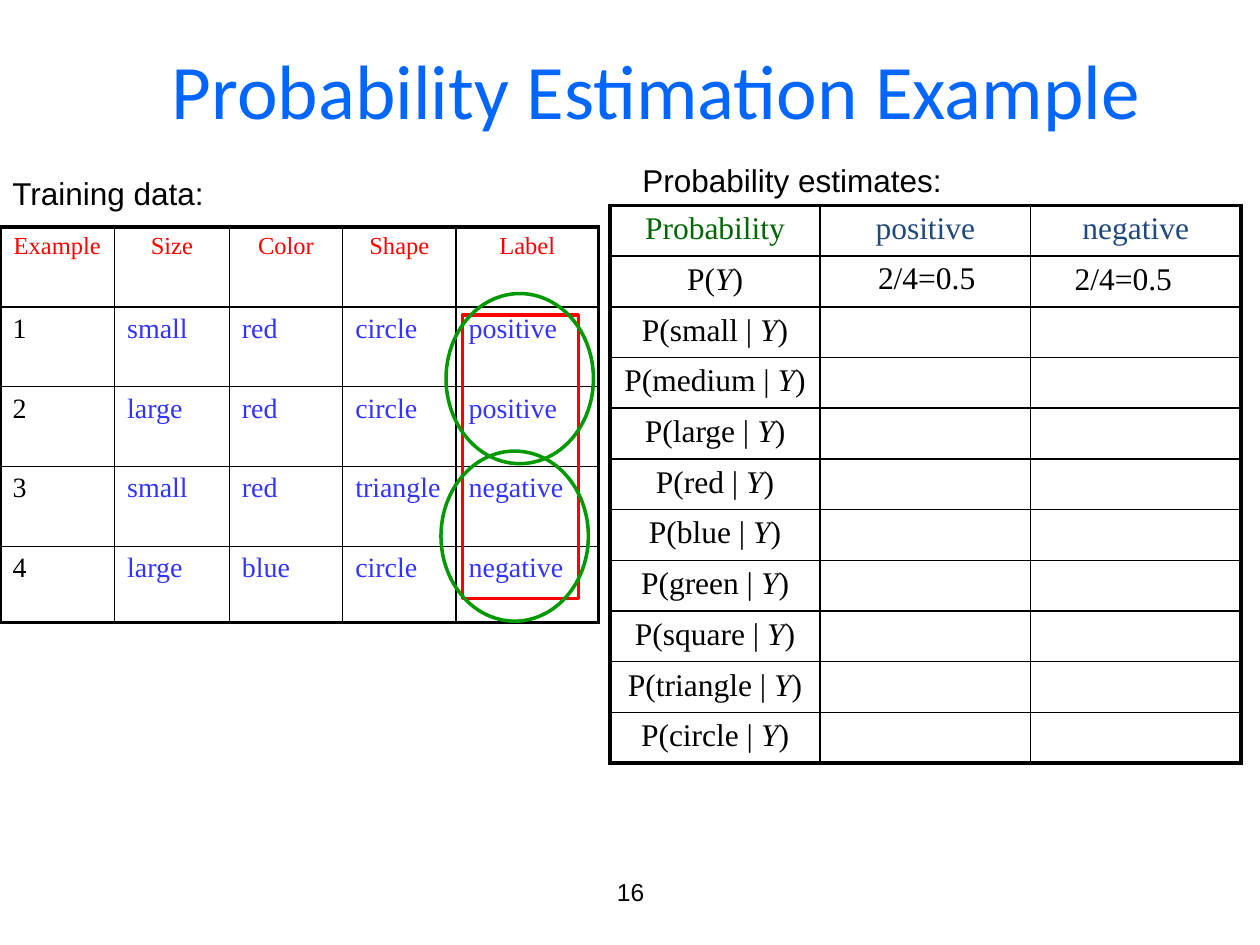
from lxml.etree import SubElement
from pptx import Presentation
from pptx.dml.color import RGBColor
from pptx.enum.shapes import MSO_SHAPE
from pptx.enum.text import MSO_ANCHOR, PP_ALIGN
from pptx.oxml.ns import qn
from pptx.util import Inches, Pt

BLACK = RGBColor(0, 0, 0)
RED = RGBColor(0xFF, 0, 0)
GREEN = RGBColor(0, 0x99, 0)
DARK = RGBColor(0, 0x66, 0)
NAVY = RGBColor(0x1F, 0x49, 0x7D)
BLUE = RGBColor(0x33, 0x33, 0xFF)
SKY = RGBColor(0, 0x66, 0xFF)
SERIF = "Times New Roman"
THIN, THICK = 1, 2.25

TITLE = "Probability Estimation Example"
DATA = [
    ("Example", "Size", "Color", "Shape", "Label"),
    ("1", "small", "red", "circle", "positive"),
    ("2", "large", "red", "circle", "positive"),
    ("3", "small", "red", "triangle", "negative"),
    ("4", "large", "blue", "circle", "negative"),
]
VALUES = ("small", "medium", "large", "red", "blue", "green",
          "square", "triangle", "circle")
# An asterisk opens or closes italics
ODDS = [("Probability", "positive", "negative"), ("P(*Y*)", "", "")]
ODDS += [(f"P({value} | *Y*)", "", "") for value in VALUES]
NOTES = [  # text, left, top, width, font
    ("Training data:", 0, 1.33, 1.74, "Arial"),
    ("Probability estimates:", 5, 1.23, 2.6, "Arial"),
    ("2/4=0.5", 6.87, 2, 0.98, SERIF),
    ("2/4=0.5", 8.43, 2.01, 0.98, SERIF),
]
MARKS = [  # shape, colour, left, top, width, height
    (MSO_SHAPE.RECTANGLE, RED, 3.67, 2.5, 0.92, 2.25),
    (MSO_SHAPE.OVAL, GREEN, 3.54, 2.33, 1.17, 1.35),
    (MSO_SHAPE.OVAL, GREEN, 3.5, 3.58, 1.17, 1.35),
]


def put(frame, text, font=SERIF, size=18, color=BLACK, align=PP_ALIGN.LEFT):
    """Write one paragraph, with italics between asterisks."""
    para = frame.paragraphs[0]
    para.alignment = align
    for i, part in enumerate(text.split("*")):
        run = para.add_run()
        run.text = part
        run.font.name = font
        run.font.size = Pt(size)
        run.font.color.rgb = color
        run.font.italic = i % 2 == 1


def edge(cell, side, width):
    """Draw a black border on side L, R, T or B."""
    line = SubElement(cell._tc.get_or_add_tcPr(), qn(f"a:ln{side}"),
                      w=str(Pt(width)))
    fill = SubElement(line, qn("a:solidFill"))
    SubElement(fill, qn("a:srgbClr"), val=str(BLACK))


def grid(slide, rows, left, top, widths, heights, style):
    """Add a ruled table; style(row, col) gives the text format."""
    table = slide.shapes.add_table(
        len(rows), len(widths), Inches(left), Inches(top),
        Inches(sum(widths)), Inches(sum(heights))).table
    table.first_row = table.horz_banding = False
    for col, width in zip(table.columns, widths):
        col.width = Inches(width)
    for row, height in zip(table.rows, heights):
        row.height = Inches(height)
    for r, row in enumerate(rows):
        for c, text in enumerate(row):
            cell = table.cell(r, c)
            outer = {"L": c == 0, "R": c == len(widths) - 1,
                     "T": r == 0, "B": r == len(rows) - 1}
            for side, is_outer in outer.items():
                edge(cell, side, THICK if is_outer else THIN)
            cell.fill.background()
            if text:
                put(cell.text_frame, text, **style(r, c))
            else:  # keep an empty line from stretching the row
                cell.margin_top = cell.margin_bottom = 0


def data_style(row, col):
    if row == 0:
        return dict(size=14, color=RED, align=PP_ALIGN.CENTER)
    return dict(size=16, color=BLUE if col else BLACK)


def odds_style(row, col):
    head = NAVY if col else DARK
    return dict(color=BLACK if row else head, align=PP_ALIGN.CENTER)


def label(slide, text, left, top, width, height, wrap=False, **style):
    box = slide.shapes.add_textbox(*map(Inches, (left, top, width, height)))
    box.text_frame.word_wrap = wrap
    put(box.text_frame, text, **style)
    return box.text_frame


def mark(slide, kind, color, *place):
    shape = slide.shapes.add_shape(kind, *map(Inches, place))
    shape.shadow.inherit = False
    shape.fill.background()
    shape.line.color.rgb = color
    shape.line.width = Pt(2)


def main():
    deck = Presentation()
    deck.slide_width, deck.slide_height = Inches(10), Inches(7.5)
    slide = deck.slides.add_slide(deck.slide_layouts[5])

    title = slide.shapes.title
    title.left, title.top = Inches(0.75), Inches(0.08)
    title.width, title.height = Inches(8.92), Inches(1.25)
    title.text_frame.vertical_anchor = MSO_ANCHOR.MIDDLE
    put(title.text_frame, TITLE, font="Calibri", size=44, color=SKY,
        align=PP_ALIGN.CENTER)

    grid(slide, ODDS, 4.84, 1.63, [1.67] * 3, [4.43 / 11] * 11, odds_style)
    grid(slide, DATA, 0, 1.8, [0.91, 0.91, 0.9, 0.9, 1.13],
         [0.635] * 4 + [0.6], data_style)
    for text, left, top, width, font in NOTES:
        label(slide, text, left, top, width, 0.4, font=font)
    for item in MARKS:
        mark(slide, *item)
    number = label(slide, "16", 3.42, 6.83, 3.17, 0.5, wrap=True,
                   font="Arial", size=14, align=PP_ALIGN.CENTER)
    number.vertical_anchor = MSO_ANCHOR.MIDDLE
    deck.save("out.pptx")


if __name__ == "__main__":
    main()
